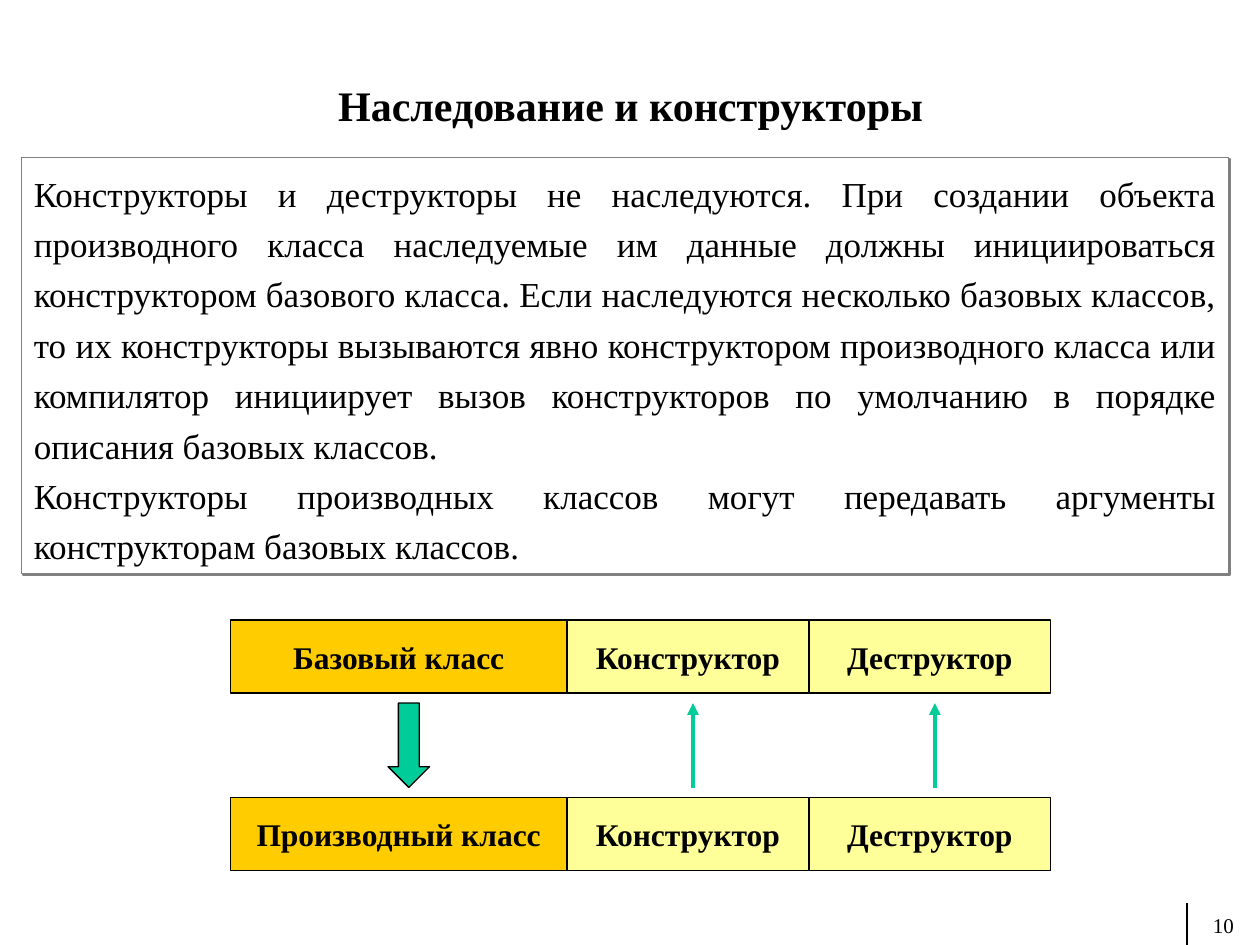
from lxml import etree
from pptx import Presentation
from pptx.dml.color import RGBColor
from pptx.enum.shapes import MSO_CONNECTOR, MSO_SHAPE
from pptx.enum.text import MSO_ANCHOR, PP_ALIGN
from pptx.oxml.ns import qn
from pptx.util import Inches, Pt

RECTANGLE = MSO_SHAPE.RECTANGLE
DOWN_ARROW = MSO_SHAPE.DOWN_ARROW
STRAIGHT = MSO_CONNECTOR.STRAIGHT
TOP, MIDDLE = MSO_ANCHOR.TOP, MSO_ANCHOR.MIDDLE
CENTER, JUSTIFY = PP_ALIGN.CENTER, PP_ALIGN.JUSTIFY

FONT = "Times New Roman"
BLACK, WHITE, GRAY = "000000", "FFFFFF", "808080"
GOLD, YELLOW, GREEN = "FFCC00", "FFFF99", "00CC99"

RULES = [
    "Конструкторы и деструкторы не наследуются. При создании объекта "
    "производного класса наследуемые им данные должны инициироваться "
    "конструктором базового класса. Если наследуются несколько базовых "
    "классов, то их конструкторы вызываются явно конструктором производного "
    "класса или компилятор инициирует вызов конструкторов по умолчанию в "
    "порядке описания базовых классов.",
    "Конструкторы производных классов могут передавать аргументы "
    "конструкторам базовых классов.",
]
CLASS_ROWS = [
    (4.92, ["Базовый класс", "Конструктор", "Деструктор"]),
    (6.33, ["Производный класс", "Конструктор", "Деструктор"]),
]
CLASS_COLUMNS = [(1.83, 2.67, GOLD), (4.5, 1.92, YELLOW), (6.42, 1.92, YELLOW)]
ROW_HEIGHT = 0.58
ARROW_TOP, ARROW_BOTTOM = 5.58, 6.25


def color(value):
    return RGBColor.from_string(value)


def write(shape, texts, size, bold=False, align=CENTER, anchor=MIDDLE,
          wrap=True, line_spacing=None):
    frame = shape.text_frame
    frame.word_wrap = wrap
    frame.vertical_anchor = anchor
    for index, text in enumerate(texts):
        paragraph = frame.add_paragraph() if index else frame.paragraphs[0]
        paragraph.alignment = align
        paragraph.line_spacing = line_spacing
        run = paragraph.add_run()
        run.text = text
        run.font.name = FONT
        run.font.size = Pt(size)
        run.font.bold = bold
        run.font.color.rgb = color(BLACK)


def add_text(slide, left, top, width, height, text, size, **style):
    box = slide.shapes.add_textbox(
        Inches(left), Inches(top), Inches(width), Inches(height))
    write(box, [text], size, **style)


def add_block(slide, kind, left, top, width, height, fill, line=BLACK):
    shape = slide.shapes.add_shape(
        kind, Inches(left), Inches(top), Inches(width), Inches(height))
    shape.shadow.inherit = False
    shape.fill.solid()
    shape.fill.fore_color.rgb = color(fill)
    shape.line.color.rgb = color(line)
    shape.line.width = Pt(0.75)
    return shape


def add_drop_shadow(shape, shade, distance):
    """Cast a hard shadow to the lower right."""
    effects = shape._element.spPr.find(qn("a:effectLst"))
    shadow = etree.SubElement(
        effects, qn("a:outerShdw"), dist=str(Pt(distance)),
        dir=str(45 * 60000), algn="ctr", rotWithShape="0")
    etree.SubElement(shadow, qn("a:srgbClr"), val=shade)


def add_line(slide, x, start, end, stroke, width, arrow=False):
    """Draw a vertical line, with an optional arrowhead at its end."""
    connector = slide.shapes.add_connector(
        STRAIGHT, Inches(x), Inches(start), Inches(x), Inches(end))
    connector.line.color.rgb = color(stroke)
    connector.line.width = Pt(width)
    if arrow:
        etree.SubElement(
            connector.line._get_or_add_ln(), qn("a:tailEnd"), type="triangle")
    etree.SubElement(connector._element.spPr, qn("a:effectLst"))


def add_rules(slide):
    panel = add_block(slide, RECTANGLE, 0.17, 1.25, 9.58, 3.3, WHITE, GRAY)
    add_drop_shadow(panel, GRAY, 1.4)
    write(panel, RULES, 20, align=JUSTIFY, anchor=TOP, line_spacing=1.2)


def add_class_diagram(slide):
    for top, labels in CLASS_ROWS:
        for (left, width, fill), label in zip(CLASS_COLUMNS, labels):
            cell = add_block(
                slide, RECTANGLE, left, top, width, ROW_HEIGHT, fill)
            write(cell, [label], 18, bold=True, wrap=False)
    add_block(slide, DOWN_ARROW, 3.08, ARROW_TOP, 0.33,
              ARROW_BOTTOM - ARROW_TOP, GREEN)
    for x in (5.5, 7.42):
        add_line(slide, x, ARROW_BOTTOM, ARROW_TOP, GREEN, 2.25, arrow=True)


def main():
    presentation = Presentation()
    presentation.slide_width = Inches(10)
    presentation.slide_height = Inches(7.5)
    slide = presentation.slides.add_slide(presentation.slide_layouts[6])
    add_text(slide, 9.42, 7.19, 0.58, 0.3, "10", 12, anchor=TOP)
    add_line(slide, 9.42, 7.17, 7.5, BLACK, 0.75)
    add_text(slide, 0.42, 0.58, 9.17, 0.5, "Наследование и конструкторы", 24,
             bold=True)
    add_rules(slide)
    add_class_diagram(slide)
    presentation.save("out.pptx")


if __name__ == "__main__":
    main()
